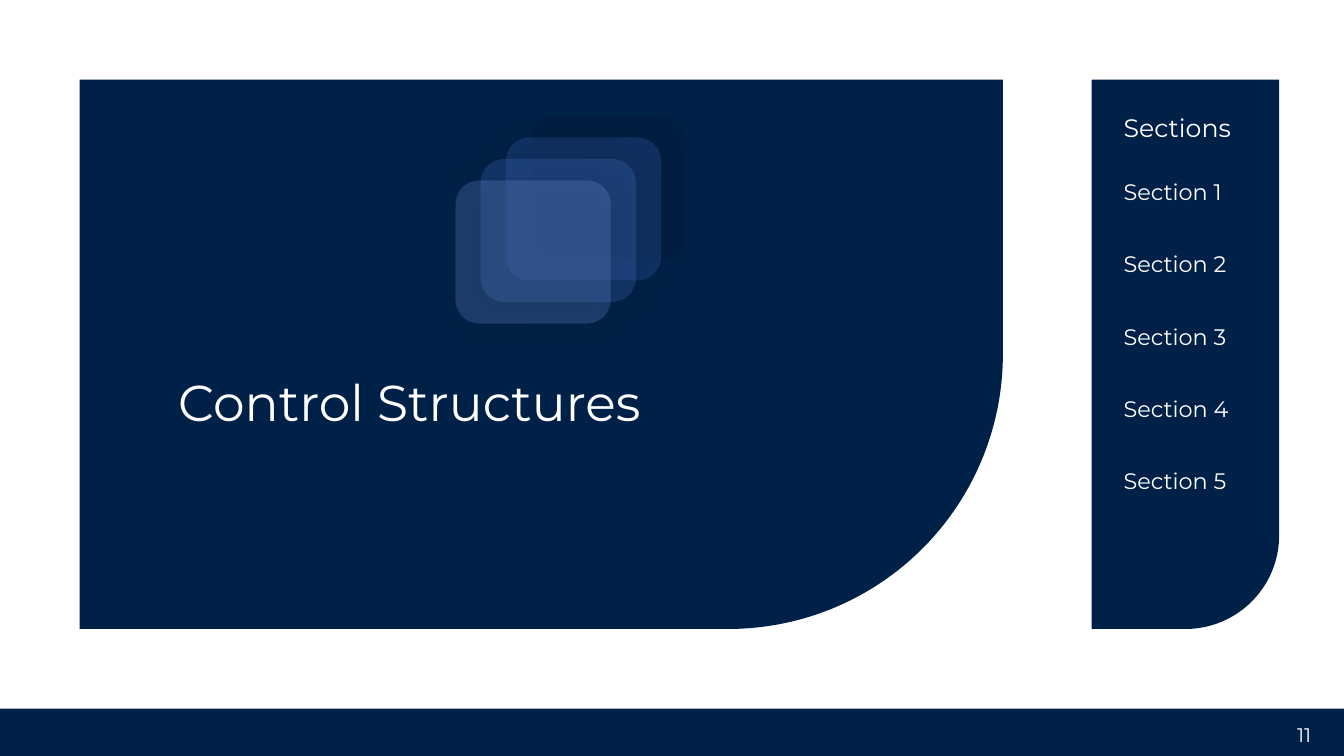
"""Build the "Control Structures" section slide with its list of sections."""

from dataclasses import dataclass

from lxml import etree
from pptx import Presentation
from pptx.dml.color import RGBColor
from pptx.enum import shapes, text
from pptx.oxml import ns
from pptx.util import Pt


@dataclass(frozen=True)
class Theme:
    font: str = "Montserrat"
    navy: str = "002147"
    white: str = "FFFFFF"
    shadow: str = "000000"
    tiles: tuple[str, ...] = ("001935", "3864B2", "4371C5", "698ED1")
    tile_alpha: int = 27
    shadow_alpha: int = 20
    shadow_blur: int = 21
    title_size: int = 36
    heading_size: int = 18
    section_size: int = 16
    number_size: int = 14


@dataclass(frozen=True)
class Box:
    left: float
    top: float
    width: float
    height: float

    def lengths(self) -> tuple[Pt, Pt, Pt, Pt]:
        return Pt(self.left), Pt(self.top), Pt(self.width), Pt(self.height)


@dataclass(frozen=True)
class Label:
    words: str
    box: Box
    size: int
    align: text.PP_ALIGN = text.PP_ALIGN.LEFT
    line_spacing: float = 0.9
    space_before: int = 0


THEME = Theme()
SHAPE = shapes.MSO_SHAPE
SLIDE = Box(0, 0, 960, 540)
FOOTER = Box(0, 506.2, 960, 33.8)
PANELS = (Box(56.9, 56.9, 659.5, 392.4), Box(779.8, 56.9, 133.9, 392.4))
TITLE = Label("Control Structures", Box(120, 239.8, 576, 99.4), THEME.title_size)
LABELS = [
    Label("11", Box(912.2, 514.8, 38.9, 20.2), THEME.number_size,
          align=text.PP_ALIGN.CENTER, line_spacing=1.0),
    Label("Sections", Box(795.6, 75.6, 103, 33.8), THEME.heading_size),
] + [
    Label(f"Section {index + 1}", Box(795.6, 120.7 + 51.7 * index, 97.9, 34.6),
          THEME.section_size, space_before=10)
    for index in range(5)
]
TILES = [Box(379.4 - 18 * index, 82.7 + 15.4 * index, 110.9, 102.2) for index in range(4)]
SHADOW_DISTANCES = (None, 0, 4, 4)


def add_solid(parent, kind: shapes.MSO_SHAPE, box: Box, color: str):
    """Add a borderless preset shape in one colour."""
    shape = parent.add_shape(kind, *box.lengths())
    shape.shadow.inherit = False
    shape.fill.solid()
    shape.fill.fore_color.rgb = RGBColor.from_string(color)
    shape.line.fill.background()
    return shape


def add_panel(page, box: Box) -> None:
    """Add a panel whose lower right corner is round."""
    panel = add_solid(page.shapes, SHAPE.ROUND_1_RECTANGLE, box, THEME.navy)
    panel.adjustments[0] = 0.5
    panel.element.spPr.find(ns.qn("a:xfrm")).set("flipV", "1")


def set_alpha(color, percent: int) -> None:
    """Give a colour element an opacity."""
    etree.SubElement(color, ns.qn("a:alpha"), val=str(percent * 1000))


def add_tile(group, box: Box, color: str, distance: int | None) -> None:
    """Add a translucent rounded tile, with a soft shadow if it has a distance."""
    tile = add_solid(group.shapes, SHAPE.ROUNDED_RECTANGLE, box, color)
    properties = tile.element.spPr
    set_alpha(properties.find(ns.qn("a:solidFill"))[0], THEME.tile_alpha)
    if distance is not None:
        shadow = etree.SubElement(
            properties.find(ns.qn("a:effectLst")), ns.qn("a:outerShdw"),
            blurRad=str(Pt(THEME.shadow_blur)), dist=str(Pt(distance)),
            dir="0", algn="ctr", rotWithShape="0")
        shade = etree.SubElement(shadow, ns.qn("a:srgbClr"), val=THEME.shadow)
        set_alpha(shade, THEME.shadow_alpha)


def write_label(shape, label: Label) -> None:
    """Place a text shape and format its single paragraph."""
    shape.left, shape.top, shape.width, shape.height = label.box.lengths()
    frame = shape.text_frame
    frame.text = label.words
    frame.word_wrap = True
    frame.auto_size = text.MSO_AUTO_SIZE.NONE
    frame.vertical_anchor = text.MSO_ANCHOR.MIDDLE
    para = frame.paragraphs[0]
    para.alignment = label.align
    para.line_spacing = label.line_spacing
    para.space_before = Pt(label.space_before)
    font = para.runs[0].font
    font.name = THEME.font
    font.size = Pt(label.size)
    font.color.rgb = RGBColor.from_string(THEME.white)


def main() -> None:
    """Draw the slide and save the deck."""
    deck = Presentation()
    deck.slide_width, deck.slide_height = Pt(SLIDE.width), Pt(SLIDE.height)
    page = deck.slides.add_slide(deck.slide_layouts[5])
    add_solid(page.shapes, SHAPE.RECTANGLE, FOOTER, THEME.navy)
    for box in PANELS:
        add_panel(page, box)
    title = page.shapes.title
    title.element.getparent().append(title.element)
    write_label(title, TITLE)
    for label in LABELS:
        write_label(page.shapes.add_textbox(*label.box.lengths()), label)
    group = page.shapes.add_group_shape()
    for box, color, distance in zip(TILES, THEME.tiles, SHADOW_DISTANCES):
        add_tile(group, box, color, distance)
    deck.save("out.pptx")


if __name__ == "__main__":
    main()
